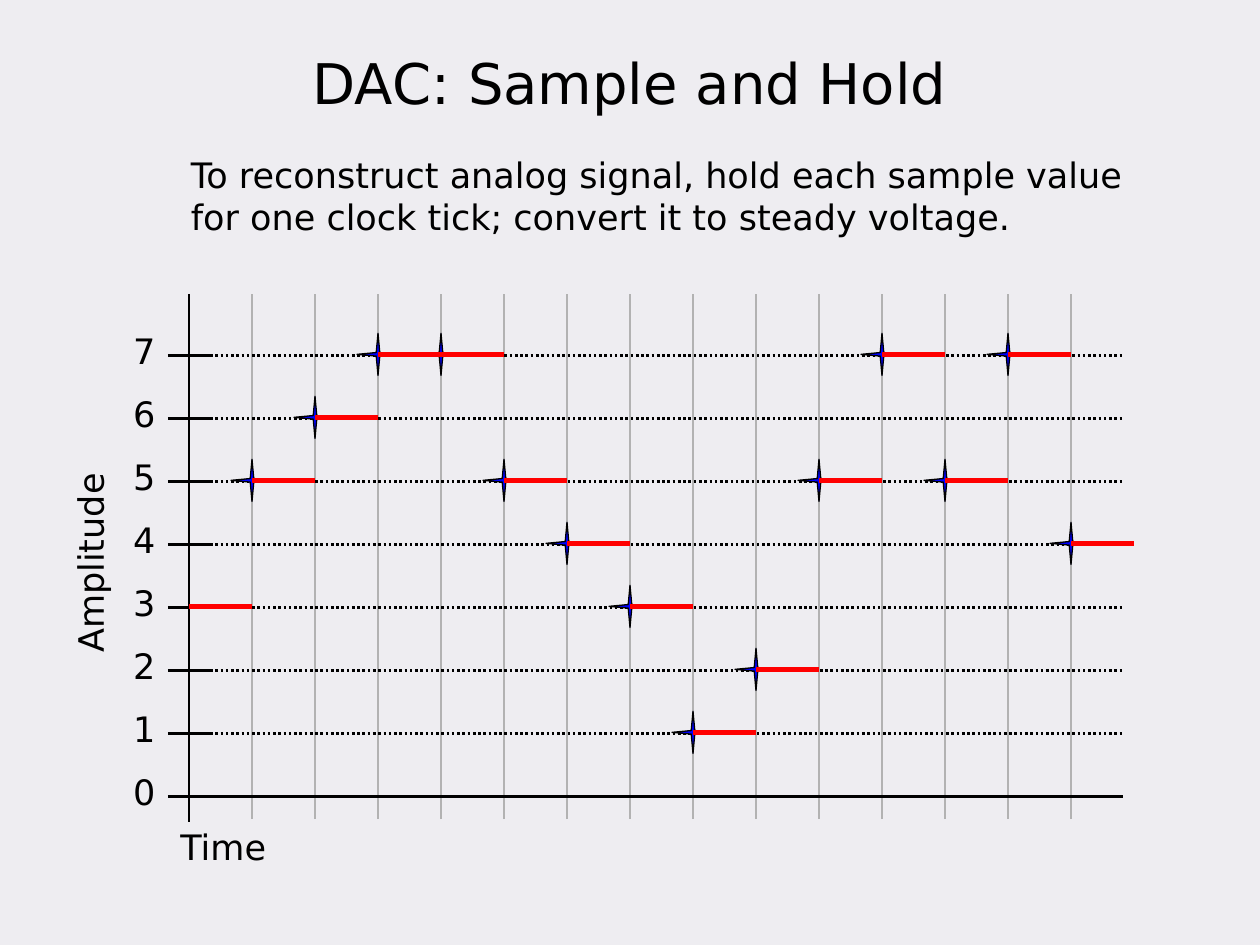
import pptx
import pptx.util
import pptx.dml.color
import pptx.enum.dml
import pptx.enum.shapes
import pptx.enum.text
import pptx.oxml.ns
import lxml.etree

Pt = pptx.util.Pt
ALIGN = pptx.enum.text.PP_ALIGN
RGB = pptx.dml.color.RGBColor.from_string
COLORS = {"bg": "EEEDF1", "ink": "000000", "grid": "B2B2B2", "star": "0000FF", "hold": "FF0000"}
SAMPLES = [3, 5, 6, 7, 7, 5, 4, 3, 1, 2, 5, 7, 5, 7, 4]
X0, Y0, STEP, STAR = 108, 455, 36, 24
LEFT, RIGHT, TICK_END = 96, 642, 120

prs = pptx.Presentation()
prs.slide_width, prs.slide_height = Pt(720), Pt(540)
s = prs.slides.add_slide(prs.slide_layouts[6])
s.background.fill.solid()
s.background.fill.fore_color.rgb = RGB(COLORS["bg"])


def add_text(text, x, y, w, h, size=20, align=ALIGN.LEFT):
    sp = s.shapes.add_textbox(Pt(x), Pt(y), Pt(w), Pt(h))
    tf = sp.text_frame
    tf.word_wrap = True
    tf.auto_size = pptx.enum.text.MSO_AUTO_SIZE.SHAPE_TO_FIT_TEXT
    tf.text = text
    p = tf.paragraphs[0]
    p.alignment = align
    r = p.runs[0]
    r.font.name = "DejaVu Sans"
    r.font.size = Pt(size)
    r.font.color.rgb = RGB(COLORS["ink"])
    return sp


def add_line(x1, y1, x2, y2, color="ink", width=1.5, dash=None):
    sp = s.shapes.add_connector(
        pptx.enum.shapes.MSO_CONNECTOR.STRAIGHT, Pt(x1), Pt(y1), Pt(x2), Pt(y2))
    sp.line.color.rgb = RGB(COLORS[color])
    sp.line.width = Pt(width)
    if dash:
        sp.line.dash_style = dash
    lxml.etree.SubElement(sp._element.spPr, pptx.oxml.ns.qn("a:effectLst"))


add_text("DAC: Sample and Hold", 0, 24, 720, 46, 32, ALIGN.CENTER)
add_text("To reconstruct analog signal, hold each sample value "
         "for one clock tick; convert it to steady voltage.", 102, 84, 558, 55.5)

for i in range(1, len(SAMPLES)):
    add_line(X0 + i * STEP, 468, X0 + i * STEP, 168, "grid")

add_line(X0, 168, X0, 469.5)
add_line(LEFT, Y0, RIGHT, Y0)
for level in range(8):
    y = Y0 - level * STEP
    add_text(str(level), 66, y - 18, 30, 31.5, align=ALIGN.RIGHT)
    if level:
        add_line(LEFT, y, TICK_END, y)
        add_line(TICK_END, y, RIGHT, y, dash=pptx.enum.dml.MSO_LINE.ROUND_DOT)

for i, value in enumerate(SAMPLES[1:], 1):
    x, y = X0 + i * STEP, Y0 - value * STEP - 0.5
    sp = s.shapes.add_shape(pptx.enum.shapes.MSO_SHAPE.STAR_4_POINT,
                            Pt(x - STAR / 2), Pt(y - STAR / 2), Pt(STAR), Pt(STAR))
    sp.adjustments[0] = 0.06
    sp.shadow.inherit = False
    sp.fill.solid()
    sp.fill.fore_color.rgb = RGB(COLORS["star"])
    sp.line.color.rgb = RGB(COLORS["ink"])
    sp.line.width = Pt(0.75)

sp = add_text("Amplitude", -11.5, 306, 126, 31.5, align=ALIGN.CENTER)
sp.rotation = 270
add_text("Time", 96, 468, 72, 31.5)

for i, value in enumerate(SAMPLES):
    x, y = X0 + i * STEP, Y0 - value * STEP - 0.25
    add_line(x, y, x + STEP, y, "hold", 3)

prs.save("out.pptx")
